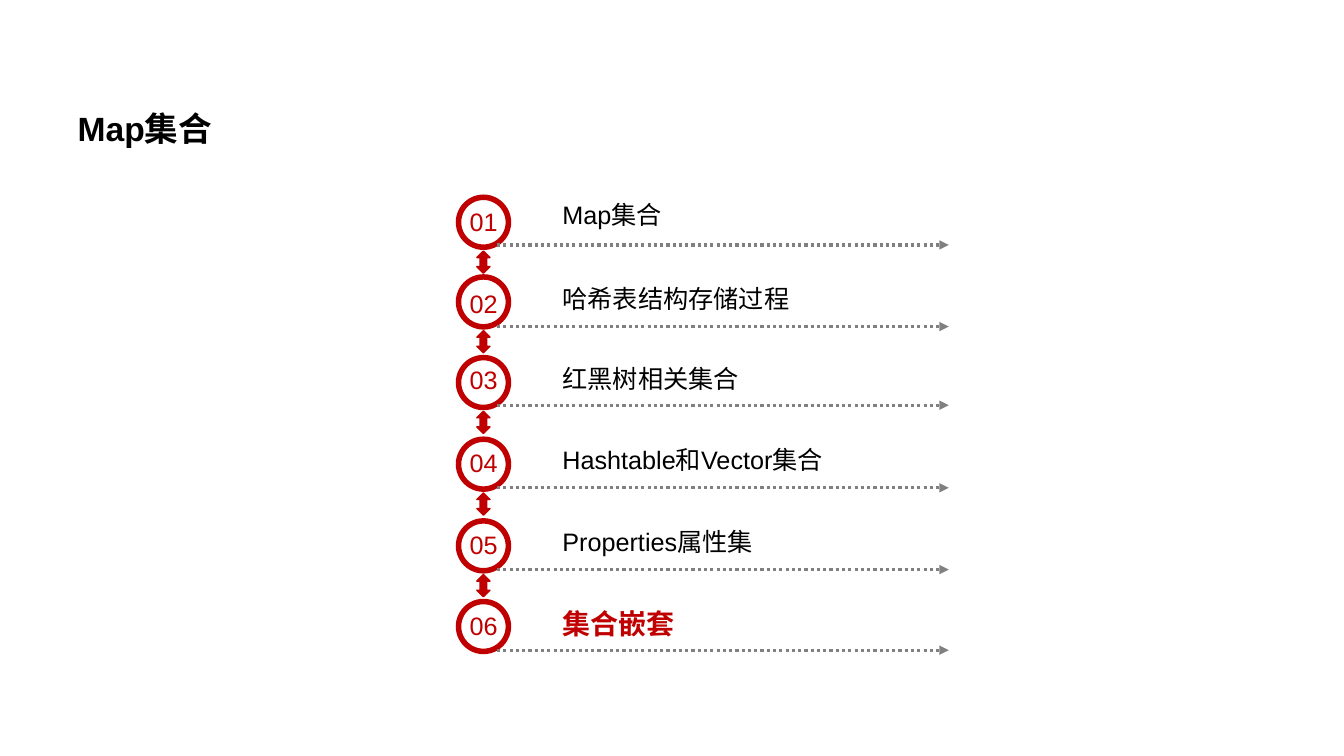
import dataclasses

import pptx
import pptx.dml.color
import pptx.enum.dml
import pptx.enum.shapes
import pptx.enum.text
import pptx.oxml
import pptx.oxml.ns
import pptx.shapes.autoshape
import pptx.slide
import pptx.text.text
import pptx.util

PX = 9144
FONT = "Arial"
RED = pptx.dml.color.RGBColor(0xC0, 0x00, 0x00)
BLACK = pptx.dml.color.RGBColor(0x00, 0x00, 0x00)
GRAY = pptx.dml.color.RGBColor(0x80, 0x80, 0x80)
SHAPES = pptx.enum.shapes.MSO_SHAPE

TITLE_ONLY = 5
RING_LEFT = 452
RING_SIZE = 55
ARROW_LEFT = 473
ARROW_WIDTH = 13
ARROW_HEIGHT = 22
RULE_START = 493
RULE_END = 941


@dataclasses.dataclass(frozen=True)
class Chapter:
    label: str
    ring_top: int
    number_top: int
    label_top: int
    rule_y: int
    current: bool = False


CHAPTERS = [
    Chapter("Map集合", 193, 200, 193, 243),
    Chapter("哈希表结构存储过程", 272, 281, 276, 324),
    Chapter("红黑树相关集合", 352, 357, 356, 402),
    Chapter("Hashtable和Vector集合", 433, 439, 436, 484),
    Chapter("Properties属性集", 514, 520, 517, 565),
    Chapter("集合嵌套", 594, 601, 597, 645, current=True),
]


def px(length: int) -> pptx.util.Emu:
    return pptx.util.Emu(length * PX)


def add_span(
    para: pptx.text.text._Paragraph,
    text: str,
    size: int,
    color: pptx.dml.color.RGBColor,
    bold: bool = False,
) -> None:
    span = para.add_run()
    span.text = text
    span.font.name = FONT
    span.font.size = pptx.util.Pt(size)
    span.font.bold = bold
    span.font.color.rgb = color


def add_title(page: pptx.slide.Slide, text: str) -> None:
    title = page.shapes.title
    title.left, title.top = px(67), px(82)
    title.width, title.height = px(1174), px(111)
    frame = title.text_frame
    frame.word_wrap = True
    frame.auto_size = pptx.enum.text.MSO_AUTO_SIZE.NONE
    frame.vertical_anchor = pptx.enum.text.MSO_ANCHOR.TOP
    para = frame.paragraphs[0]
    para.alignment = pptx.enum.text.PP_ALIGN.LEFT
    para.line_spacing = 1.5
    add_span(para, text, 24, BLACK, bold=True)


def add_label(
    page: pptx.slide.Slide,
    text: str,
    left: int,
    top: int,
    width: int,
    size: int,
    color: pptx.dml.color.RGBColor,
    bold: bool = False,
    wrap: bool = True,
) -> None:
    box = page.shapes.add_textbox(px(left), px(top), px(width), px(size * 2 + 4))
    box.text_frame.word_wrap = wrap
    add_span(box.text_frame.paragraphs[0], text, size, color, bold)


def add_red_shape(
    page: pptx.slide.Slide,
    kind: pptx.enum.shapes.MSO_SHAPE,
    left: int,
    top: int,
    width: int,
    height: int,
) -> pptx.shapes.autoshape.Shape:
    shape = page.shapes.add_shape(kind, px(left), px(top), px(width), px(height))
    shape.shadow.inherit = False
    shape.fill.solid()
    shape.fill.fore_color.rgb = RED
    return shape


def add_ring(page: pptx.slide.Slide, top: int) -> None:
    ring = add_red_shape(page, SHAPES.DONUT, RING_LEFT, top, RING_SIZE, RING_SIZE)
    ring.adjustments[0] = 0.1
    ring.line.fill.background()


def add_link_arrow(page: pptx.slide.Slide, top: int) -> None:
    arrow = add_red_shape(
        page, SHAPES.UP_DOWN_ARROW, ARROW_LEFT, top, ARROW_WIDTH, ARROW_HEIGHT
    )
    arrow.line.color.rgb = RED
    arrow.line.width = pptx.util.Pt(1)


def add_rule(page: pptx.slide.Slide, y: int) -> None:
    rule = page.shapes.add_connector(
        pptx.enum.shapes.MSO_CONNECTOR.STRAIGHT,
        px(RULE_START), px(y), px(RULE_END), px(y),
    )
    rule.line.color.rgb = GRAY
    rule.line.width = pptx.util.Pt(2.25)
    rule.line.dash_style = pptx.enum.dml.MSO_LINE.ROUND_DOT
    namespace = pptx.oxml.ns.nsdecls("a")
    properties = rule._element.spPr
    properties.find(pptx.oxml.ns.qn("a:ln")).append(
        pptx.oxml.parse_xml(f'<a:tailEnd {namespace} type="triangle"/>')
    )
    properties.append(pptx.oxml.parse_xml(f"<a:effectLst {namespace}/>"))


def add_chapter(page: pptx.slide.Slide, number: int, chapter: Chapter) -> None:
    add_ring(page, chapter.ring_top)
    add_label(page, f"{number:02d}", 456, chapter.number_top, 48, 18, RED, wrap=False)
    add_label(
        page,
        chapter.label,
        548,
        chapter.label_top,
        396,
        20 if chapter.current else 18,
        RED if chapter.current else BLACK,
        bold=chapter.current,
    )
    add_rule(page, chapter.rule_y)


def main() -> None:
    deck = pptx.Presentation()
    deck.slide_width, deck.slide_height = px(1333), px(750)
    page = deck.slides.add_slide(deck.slide_layouts[TITLE_ONLY])
    add_title(page, "Map集合")
    for number, chapter in enumerate(CHAPTERS, start=1):
        add_chapter(page, number, chapter)
    for chapter in CHAPTERS[:-1]:
        add_link_arrow(page, chapter.ring_top + RING_SIZE + 1)
    deck.save("out.pptx")


if __name__ == "__main__":
    main()
